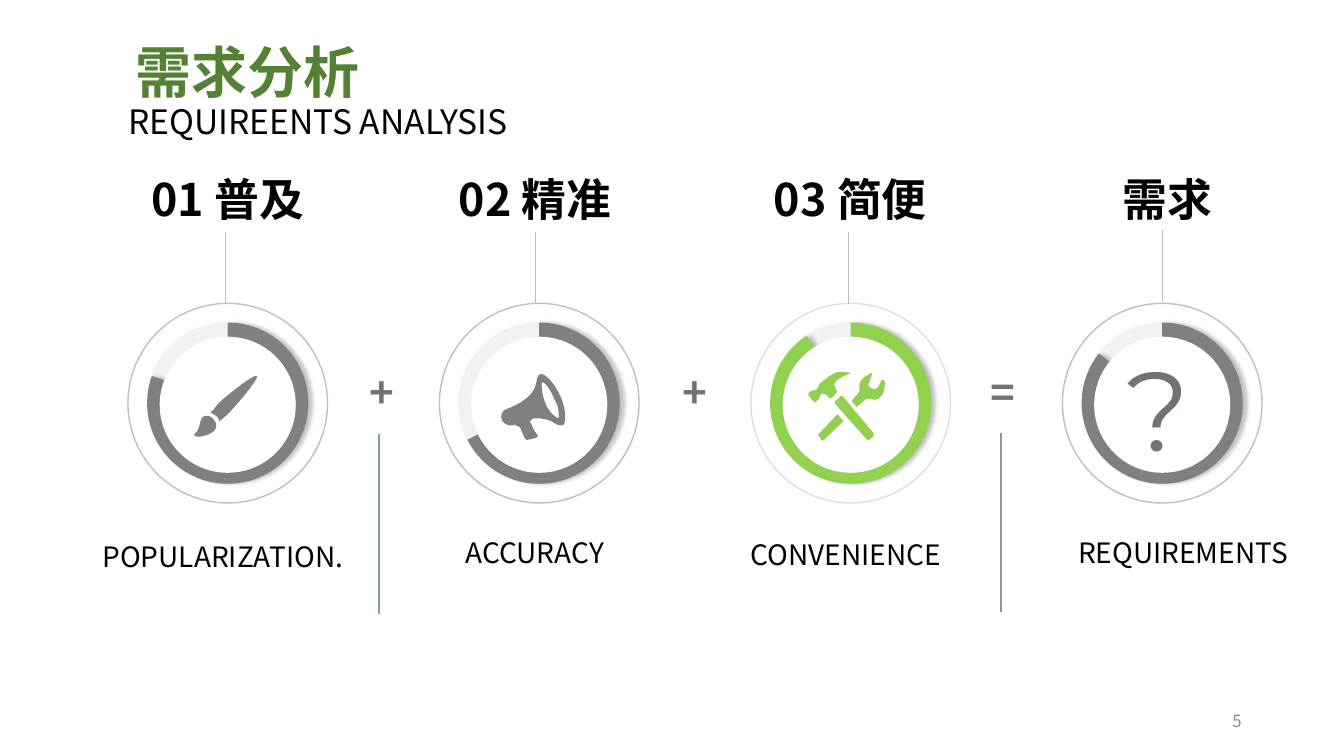
"""Builds the requirements analysis slide: three dials that add up to a fourth."""
import pptx
import pptx.dml.color
import pptx.enum.shapes
import pptx.enum.text
import pptx.oxml
import pptx.oxml.ns
import pptx.util

Cm, Pt = pptx.util.Cm, pptx.util.Pt
MSO = pptx.enum.shapes.MSO_SHAPE
ALIGN = pptx.enum.text.PP_ALIGN
ANCHOR = pptx.enum.text.MSO_ANCHOR
NS = 'xmlns:a="http://schemas.openxmlformats.org/drawingml/2006/main"'
FONT = "Noto Sans CJK SC"
GREY, GREEN, SYMBOL, RULE = "808080", "92D050", "767171", "BFBFBF"

BRUSH = [
    [(10, 43), (6, 48, 9, 53, 2, 60), (0, 64, 15, 63, 22, 56),
     (25, 52, 24, 48, 20, 44), (17, 41, 12, 41, 10, 43)],
    [(64, 2), (61, 0, 33, 22, 25, 30), (22, 34, 20, 37, 18, 38), (18, 39, 19, 39, 19, 39),
     (20, 40, 22, 40, 24, 42), (25, 43, 26, 44, 26, 45), (26, 47, 27, 47, 27, 47),
     (29, 45, 32, 43, 35, 40), (43, 32, 66, 5, 64, 2)],
]
MEGAPHONE = [
    [(60, 23), (54, 10, 45, 0, 40, 1), (32, 5, 45, 21, 6, 36), (2, 37, 0, 43, 2, 47),
     (3, 49, 8, 53, 12, 52), (15, 51), (17, 54, 20, 52, 20, 54), (21, 57, 24, 62, 24, 64),
     (25, 65, 27, 68, 28, 66), (29, 66, 34, 65, 36, 64), (38, 64, 38, 62, 37, 61),
     (37, 60, 34, 58, 34, 57), (33, 56, 32, 51, 30, 49), (29, 48, 32, 45, 34, 45),
     (53, 44, 56, 54, 62, 52), (66, 51, 66, 36, 60, 23)],
    [(58, 45), (57, 45, 49, 40, 45, 30), (41, 19, 41, 9, 42, 9),
     (44, 9, 50, 15, 54, 26), (60, 36, 58, 44, 58, 45)],
]
TOOLS = [
    [(12, 23), (15, 20, 17, 22, 21, 26), (23, 27, 23, 26, 23, 26), (24, 26, 28, 20, 29, 20),
     (29, 19), (28, 19, 27, 18, 27, 16), (20, 7, 46, 1, 42, 1), (39, 0, 31, 0, 29, 0),
     (26, 1, 19, 5, 16, 8), (12, 11, 11, 12, 11, 12), (9, 14, 11, 16, 8, 18),
     (5, 19, 4, 18, 2, 19), (2, 20, 1, 20, 0, 22), (0, 23), (5, 29), (5, 30, 6, 30, 8, 30),
     (8, 29, 9, 27, 11, 27), (11, 27, 11, 23, 12, 23)],
    [(34, 24), (32, 24), (27, 29), (26, 30, 26, 30, 26, 31), (58, 67),
     (58, 68, 59, 68, 61, 67), (65, 64), (65, 63, 65, 61, 65, 61), (34, 24)],
    [(76, 10), (74, 7, 74, 8, 73, 8), (73, 10, 70, 12, 70, 14), (69, 16, 66, 19, 62, 16),
     (58, 12, 59, 11, 61, 10), (61, 8, 63, 4, 63, 3), (65, 3, 63, 1, 62, 1),
     (61, 3, 53, 5, 51, 11), (50, 15, 53, 19, 48, 23), (43, 29), (48, 35), (55, 29),
     (57, 27, 59, 26, 62, 27), (69, 29, 71, 26, 74, 22), (76, 18, 76, 11, 76, 10)],
    [(11, 61), (9, 63, 9, 64, 11, 64), (13, 68), (15, 68, 16, 68, 16, 67),
     (35, 49), (29, 42), (11, 61)],
]
ICON_UNIT = Cm(2.54) / 100

RIGHT = dict(w=7.42, h=1.96, align=ALIGN.RIGHT, spacing=1.3)
LEFT = dict(w=6.2, h=1.09)
DIALS = [
    dict(heading="01 普及", heading_x=5.74, stem=(5.69, 5.84), share=0.805, colour=GREY,
         icon=BRUSH, icon_at=(4.85, 9.42),
         caption="POPULARIZATION.", caption_at=(1.48, 13.21), caption_format=RIGHT),
    dict(heading="02 精准", heading_x=13.49, stem=(13.5, 5.84), share=0.675, colour=GREY,
         icon=MEGAPHONE, icon_at=(12.6, 9.4),
         caption="ACCURACY", caption_at=(11.48, 13.36), caption_format=LEFT),
    dict(heading="03 简便", heading_x=21.43, stem=(21.39, 5.84), share=0.908, colour=GREEN,
         icon=TOOLS, icon_at=(20.37, 9.37),
         caption="CONVENIENCE", caption_at=(16.55, 13.16), caption_format=RIGHT),
    dict(heading="需求", heading_x=29.42, stem=(29.29, 5.79), share=0.856, colour=GREY,
         icon=None, icon_at=(28.14, 8.43),
         caption="REQUIREMENTS", caption_at=(26.92, 13.36), caption_format=LEFT),
]
FIRST_X, PITCH, CENTRE_Y = 5.74, 7.85, 10.16
RING, TRACK, BAND, HUB = 5.03, 4.09, 4.06, 3.43
OPERATORS = [("+", 8.46), ("+", 16.36), ("=", 24.13)]
DIVIDERS = [(9.55, 10.94), (25.23, 10.9)]

prs = pptx.Presentation()
prs.slide_width, prs.slide_height = Cm(33.87), Cm(19.05)
s = prs.slides.add_slide(prs.slide_layouts[6])


def paint(fmt, colour):
    fmt.solid()
    fmt.fore_color.rgb = pptx.dml.color.RGBColor.from_string(colour)


def add_text(text, x, y, w, h, size=20, colour="000000", bold=False, font=FONT, align=ALIGN.LEFT,
             anchor=ANCHOR.TOP, spacing=None, inset=True):
    tf = s.shapes.add_textbox(Cm(x), Cm(y), Cm(w), Cm(h)).text_frame
    tf.word_wrap, tf.vertical_anchor = True, anchor
    if not inset:
        tf.margin_left = tf.margin_top = tf.margin_right = tf.margin_bottom = 0
    p = tf.paragraphs[0]
    p.alignment, p.line_spacing = align, spacing
    r = p.add_run()
    r.text = text
    r.font.size, r.font.bold, r.font.name = Pt(size), bold, font
    paint(r.font.fill, colour)
    r.font._element.append(pptx.oxml.parse_xml(f'<a:ea {NS} typeface="{font}"/>'))


def add_line(x, top, bottom, colour, width):
    sp = s.shapes.add_connector(pptx.enum.shapes.MSO_CONNECTOR.STRAIGHT,
                                Cm(x), Cm(top), Cm(x), Cm(bottom))
    sp.line.width = Pt(width)
    paint(sp.line.fill, colour)
    sp._element.spPr.append(pptx.oxml.parse_xml(f"<a:effectLst {NS}/>"))


def add_disc(kind, cx, cy, size, fill=None):
    sp = s.shapes.add_shape(kind, Cm(cx - size / 2), Cm(cy - size / 2), Cm(size), Cm(size))
    sp.shadow.inherit = False
    sp.line.fill.background()
    if fill:
        paint(sp.fill, fill)
    else:
        sp.fill.background()
    return sp


def add_band(cx, share, colour):
    sp = add_disc(MSO.PIE, cx, CENTRE_Y, BAND, colour)
    sp.adjustments[0] = 270 * 0.6
    sp.adjustments[1] = (share * 360 - 90) * 0.6
    effects = sp._element.spPr.find(pptx.oxml.ns.qn("a:effectLst"))
    effects.append(pptx.oxml.parse_xml(
        f'<a:outerShdw {NS} blurRad="38100" dist="38100" dir="0" algn="l" rotWithShape="0">'
        '<a:srgbClr val="000000"><a:alpha val="23000"/></a:srgbClr></a:outerShdw>'))


def add_ring(cx, faded):
    sp = add_disc(MSO.OVAL, cx, CENTRE_Y, RING)
    sp.line.width = Pt(1)
    paint(sp.line.fill, RULE)
    if faded:
        colour = sp._element.spPr.find(".//" + pptx.oxml.ns.qn("a:srgbClr"))
        colour.append(pptx.oxml.parse_xml(f'<a:alpha {NS} val="50000"/>'))


def add_icon(contours, x, y, colour):
    def place(px, py):
        return round(Cm(x) + px * ICON_UNIT), round(Cm(y) + py * ICON_UNIT)

    builder = s.shapes.build_freeform(*place(*contours[0][0]), scale=1.0)
    for i, contour in enumerate(contours):
        if i:
            builder.move_to(*place(*contour[0]))
        builder.add_line_segments([place(*seg[-2:]) for seg in contour[1:]], close=True)
    sp = builder.convert_to_shape()
    sp.shadow.inherit = False
    sp.line.fill.background()
    paint(sp.fill, colour)

    segments = [seg for contour in contours for seg in contour[1:]]
    lines = list(sp._element.spPr.iter(pptx.oxml.ns.qn("a:lnTo")))
    for line, seg in zip(lines, segments):
        if len(seg) == 6:
            places = [place(*seg[k:k + 2]) for k in (0, 2, 4)]
            pts = "".join(f'<a:pt x="{px - sp.left}" y="{py - sp.top}"/>' for px, py in places)
            curve = pptx.oxml.parse_xml(f"<a:cubicBezTo {NS}>{pts}</a:cubicBezTo>")
            line.getparent().replace(line, curve)


add_text("5", 23.92, 17.65, 7.62, 1.02, size=12, colour="8C8C8C", align=ALIGN.RIGHT, anchor=ANCHOR.MIDDLE)
for sign, x in OPERATORS:
    add_text(sign, x, 9.12, 2.31, 1.96, size=30, colour=SYMBOL, bold=True, align=ALIGN.CENTER)
for x, top in DIVIDERS:
    add_line(x, top, top + 4.53, "8497B0", 1)

for i, dial in enumerate(DIALS):
    cx = FIRST_X + i * PITCH
    stem_x, stem_top = dial["stem"]
    add_disc(MSO.OVAL, cx, CENTRE_Y, TRACK, "F2F2F2")
    add_band(cx, dial["share"], dial["colour"])
    add_disc(MSO.OVAL, cx, CENTRE_Y + 0.04, HUB, "FFFFFF")
    add_ring(cx, faded=dial["colour"] == GREEN)
    add_line(stem_x, stem_top, stem_top + 1.83, RULE, 0.5)
    add_text(dial["heading"], dial["heading_x"] - 3, 4.39, 6, 1.22, size=32, bold=True,
             align=ALIGN.CENTER, anchor=ANCHOR.MIDDLE, inset=False)
    if dial["icon"]:
        add_icon(dial["icon"], *dial["icon_at"], dial["colour"])
    else:
        add_text("?", *dial["icon_at"], 5.05, 3.68, size=80, colour=SYMBOL, font="Montserrat")
    add_text(dial["caption"], *dial["caption_at"], **dial["caption_format"])

add_text("需求分析", 3.17, 0.05, 29.21, 3.68, size=40, colour="548235", bold=True,
         anchor=ANCHOR.MIDDLE, spacing=0.9)
add_text("REQUIREENTS ANALYSIS", 0, 2.18, 16.03, 1.73, size=24, align=ALIGN.CENTER, anchor=ANCHOR.MIDDLE)
prs.save("out.pptx")
